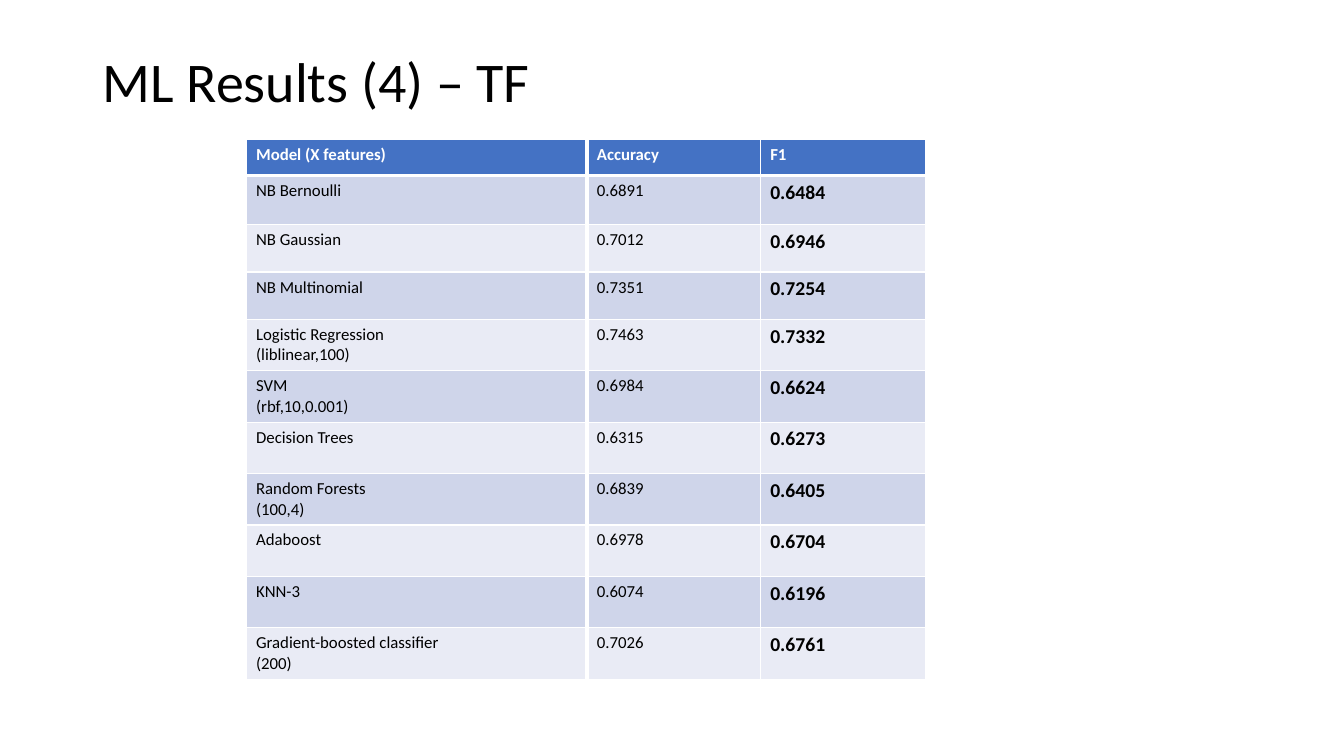
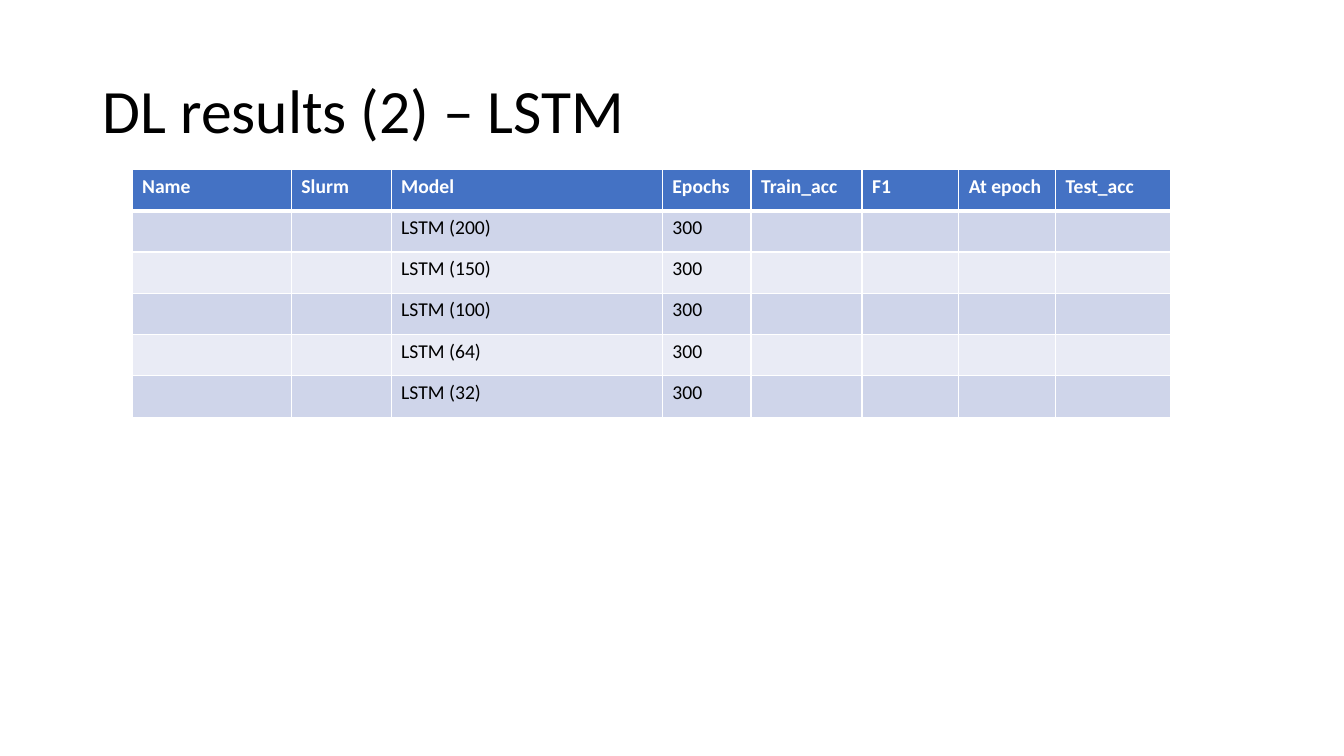
from dataclasses import dataclass

from lxml.etree import SubElement
from pptx import Presentation
from pptx.dml.color import RGBColor
from pptx.enum.shapes import MSO_CONNECTOR
from pptx.enum.text import MSO_ANCHOR
from pptx.oxml.ns import qn
from pptx.slide import Slide
from pptx.table import _Cell
from pptx.util import Inches, Pt


@dataclass(frozen=True)
class Theme:
    font: str = "Calibri"
    text: str = "000000"
    white: str = "FFFFFF"
    header: str = "4472C4"
    bands: tuple[str, str] = ("CFD5EA", "E9EBF5")
    thin: float = 1
    thick: float = 3
    title_left: float = 0.92
    title_width: float = 11.5
    title_height: float = 1.45


@dataclass(frozen=True)
class Title:
    text: str
    top: float
    size: int


@dataclass(frozen=True)
class ResultTable:
    left: float
    top: float
    columns: tuple[float, ...]
    row_heights: tuple[float, ...]
    rows: list[tuple[str, ...]]
    size: int
    emphasis_column: int | None = None
    emphasis_size: int = 14


THEME = Theme()

ML_TITLE = Title("ML Results (4) – TF", 0.11, 40)
ML_TABLE = ResultTable(
    left=2.44, top=1.38, size=12, emphasis_column=2,
    columns=(3.38, 1.72, 1.66),
    row_heights=(0.36, 0.49, 0.47, 0.47) + (0.51,) * 7,
    rows=[
        ("Model (X features)", "Accuracy", "F1"),
        ("NB Bernoulli", "0.6891", "0.6484"),
        ("NB Gaussian", "0.7012", "0.6946"),
        ("NB Multinomial", "0.7351", "0.7254"),
        ("Logistic Regression\n(liblinear,100)", "0.7463", "0.7332"),
        ("SVM\n(rbf,10,0.001)", "0.6984", "0.6624"),
        ("Decision Trees", "0.6315", "0.6273"),
        ("Random Forests\n(100,4)", "0.6839", "0.6405"),
        ("Adaboost", "0.6978", "0.6704"),
        ("KNN-3", "0.6074", "0.6196"),
        ("Gradient-boosted classifier\n(200)", "0.7026", "0.6761"),
    ],
)
DIVIDER_COLUMNS = (3, 1)
DIVIDER_HEIGHT = 5.5

DL_TITLE = Title("DL results (2) – LSTM", 0.4, 44)
LSTM_UNITS = (200, 150, 100, 64, 32)
DL_TABLE = ResultTable(
    left=1.31, top=1.68, size=14,
    columns=(1.58, 0.99, 2.69, 0.88, 1.1, 0.96, 0.96, 1.14),
    row_heights=(0.41,) * (len(LSTM_UNITS) + 1),
    rows=[
        ("Name", "Slurm", "Model", "Epochs", "Train_acc", "F1", "At epoch", "Test_acc"),
        *(("", "", f"LSTM ({units})", "300", "", "", "", "") for units in LSTM_UNITS),
    ],
)


def add_title(slide: Slide, title: Title) -> None:
    shape = slide.shapes.add_textbox(
        Inches(THEME.title_left), Inches(title.top),
        Inches(THEME.title_width), Inches(THEME.title_height))
    text_frame = shape.text_frame
    text_frame.word_wrap = True
    text_frame.vertical_anchor = MSO_ANCHOR.MIDDLE
    text_frame.text = title.text
    paragraph = text_frame.paragraphs[0]
    paragraph.line_spacing = 0.9
    font = paragraph.runs[0].font
    font.name, font.size = THEME.font, Pt(title.size)
    font.color.rgb = RGBColor.from_string(THEME.text)


def set_borders(cell: _Cell, top: float, bottom: float) -> None:
    properties = cell._tc.get_or_add_tcPr()
    widths = {"lnL": THEME.thin, "lnR": THEME.thin, "lnT": top, "lnB": bottom}
    for tag, width in widths.items():
        line = SubElement(properties, qn(f"a:{tag}"), w=str(Pt(width)))
        fill = SubElement(line, qn("a:solidFill"))
        SubElement(fill, qn("a:srgbClr"), val=THEME.white)


def fill_cell(cell: _Cell, text: str, row: int, size: int, bold: bool) -> None:
    # The heavy rule lies between the header and the first body row
    set_borders(cell,
                top=THEME.thick if row == 1 else THEME.thin,
                bottom=THEME.thick if row == 0 else THEME.thin)
    cell.fill.solid()
    background = THEME.header if row == 0 else THEME.bands[(row - 1) % 2]
    cell.fill.fore_color.rgb = RGBColor.from_string(background)
    if not text:
        return
    cell.text_frame.text = text
    for paragraph in cell.text_frame.paragraphs:
        font = paragraph.runs[0].font
        font.name, font.size, font.bold = THEME.font, Pt(size), bold
        font.color.rgb = RGBColor.from_string(THEME.white if row == 0 else THEME.text)


def add_result_table(slide: Slide, result: ResultTable) -> None:
    table = slide.shapes.add_table(
        len(result.rows), len(result.columns),
        Inches(result.left), Inches(result.top),
        Inches(sum(result.columns)), Inches(sum(result.row_heights))).table
    for column, width in zip(table.columns, result.columns):
        column.width = Inches(width)
    for table_row, height in zip(table.rows, result.row_heights):
        table_row.height = Inches(height)
    for row, texts in enumerate(result.rows):
        for column, text in enumerate(texts):
            emphasis = row > 0 and column == result.emphasis_column
            size = result.emphasis_size if emphasis else result.size
            fill_cell(table.cell(row, column), text, row, size, row == 0 or emphasis)


def add_divider(slide: Slide, result: ResultTable, column: int) -> None:
    x = Inches(result.left + sum(result.columns[:column]))
    connector = slide.shapes.add_connector(
        MSO_CONNECTOR.STRAIGHT, x, Inches(result.top),
        x, Inches(result.top + DIVIDER_HEIGHT))
    connector.line.color.rgb = RGBColor.from_string(THEME.white)
    connector.line.width = Pt(THEME.thick)
    SubElement(connector._element.spPr, qn("a:effectLst"))


def main() -> None:
    presentation = Presentation()
    presentation.slide_width = Inches(13.33)
    presentation.slide_height = Inches(7.5)
    blank = presentation.slide_layouts[6]

    # Classical models
    slide = presentation.slides.add_slide(blank)
    add_title(slide, ML_TITLE)
    add_result_table(slide, ML_TABLE)
    for column in DIVIDER_COLUMNS:
        add_divider(slide, ML_TABLE, column)

    # Recurrent networks
    slide = presentation.slides.add_slide(blank)
    add_title(slide, DL_TITLE)
    add_result_table(slide, DL_TABLE)

    presentation.save("out.pptx")


if __name__ == "__main__":
    main()
